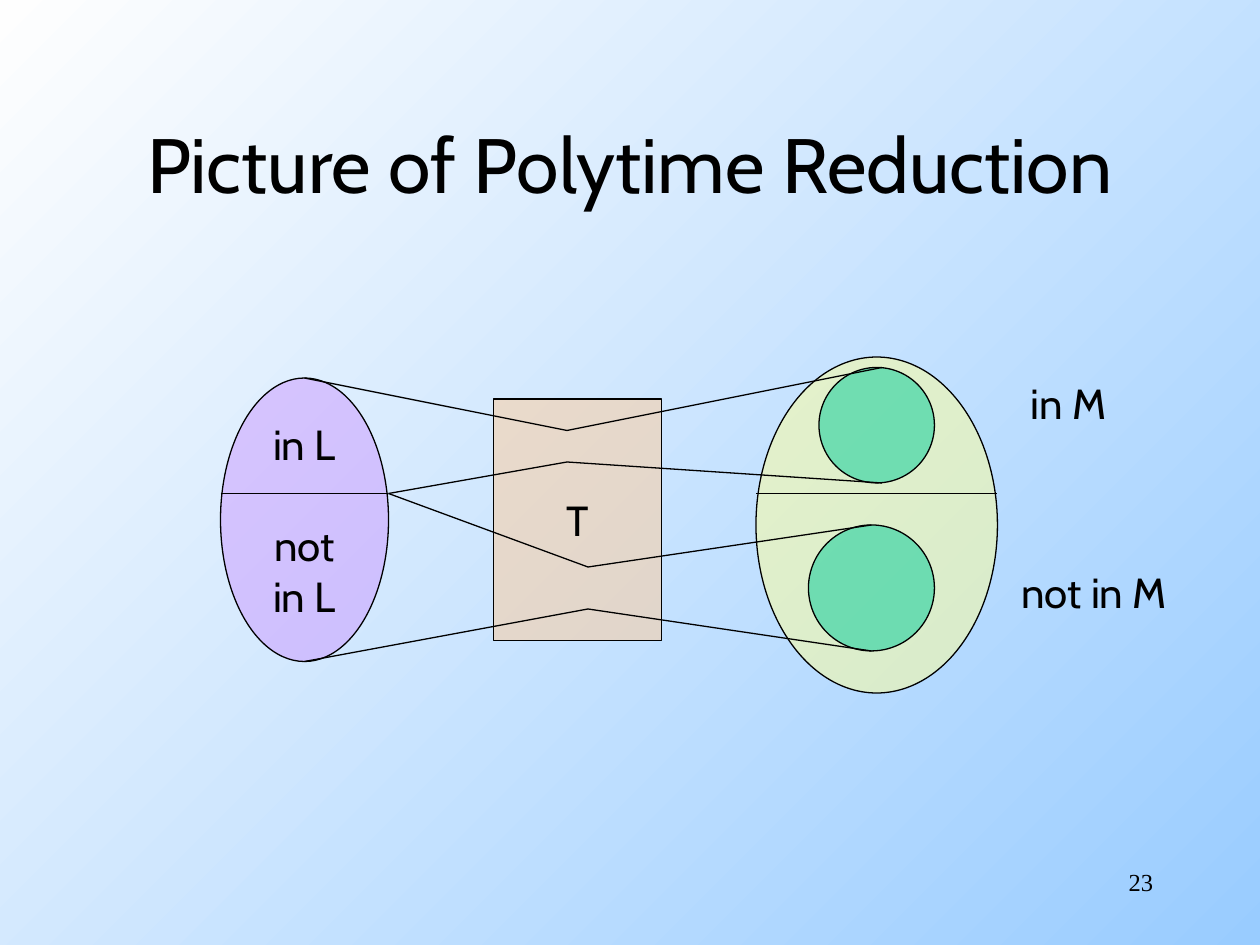
from dataclasses import dataclass
from itertools import pairwise

from lxml.etree import SubElement
from pptx import Presentation
from pptx.dml.color import RGBColor
from pptx.enum.shapes import MSO_CONNECTOR, MSO_SHAPE
from pptx.enum.text import MSO_ANCHOR, PP_ALIGN
from pptx.oxml.ns import qn
from pptx.util import Pt


@dataclass(frozen=True)
class Theme:
    ink: str = "000000"
    sky: str = "99CCFF"
    white: str = "FEFEFE"
    machine: str = "FFCC99"
    source: str = "CC99FF"
    target: str = "FFFF99"
    image: str = "00CC99"
    font: str = "Cabin"
    number_font: str = "Times New Roman"
    title_size: float = 44
    label_size: float = 24
    number_size: float = 14
    line_width: float = 0.75
    opacity: int = 50


@dataclass(frozen=True)
class Box:
    left: float
    top: float
    width: float
    height: float

    @property
    def points(self):
        return [Pt(value) for value in (self.left, self.top, self.width, self.height)]

    def inner(self, left, top, width, height):
        """Return a box placed relative to this one."""
        return Box(self.left + left, self.top + top, width, height)


THEME = Theme()


def write_text(shape, *lines, size=THEME.label_size, font=THEME.font,
               align=PP_ALIGN.CENTER, anchor=MSO_ANCHOR.MIDDLE, wrap=False, gaps=()):
    """Write one paragraph per line; gaps maps line indexes to space before."""
    frame = shape.text_frame
    frame.word_wrap = wrap
    frame.vertical_anchor = anchor
    spaces = dict(gaps)
    for index, line in enumerate(lines):
        para = frame.paragraphs[0] if index == 0 else frame.add_paragraph()
        para.alignment = align
        if index in spaces:
            para.space_before = Pt(spaces[index])
        span = para.add_run()
        span.text = line
        span.font.size = Pt(size)
        span.font.name = font
        span.font.color.rgb = RGBColor.from_string(THEME.ink)


def add_label(page, box, text, **text_format):
    write_text(page.shapes.add_textbox(*box.points), text, **text_format)


def add_outlined(page, kind, box, color):
    """Add a half-transparent shape with a thin outline."""
    shape = page.shapes.add_shape(kind, *box.points)
    shape.shadow.inherit = False
    shape.fill.solid()
    shape.fill.fore_color.rgb = RGBColor.from_string(color)
    color_node = shape.fill._xPr.find(qn("a:solidFill"))[0]
    SubElement(color_node, qn("a:alpha")).set("val", str(THEME.opacity * 1000))
    shape.line.color.rgb = RGBColor.from_string(THEME.ink)
    shape.line.width = Pt(THEME.line_width)
    return shape


def add_lines(page, box, *stops):
    """Join successive stops, given relative to the box, with straight lines."""
    for start, end in pairwise(stops):
        ends = [Pt(value) for x, y in (start, end) for value in (box.left + x, box.top + y)]
        line = page.shapes.add_connector(MSO_CONNECTOR.STRAIGHT, *ends)
        line.line.color.rgb = RGBColor.from_string(THEME.ink)
        line.line.width = Pt(THEME.line_width)
        SubElement(line._element.spPr, qn("a:effectLst"))


def paint_background(page):
    fill = page.background.fill
    fill.gradient()
    fill.gradient_angle = 135
    for stop, color in zip(fill.gradient_stops, (THEME.sky, THEME.white)):
        stop.color.rgb = RGBColor.from_string(color)


def add_machine(page, box):
    machine = add_outlined(page, MSO_SHAPE.RECTANGLE, box, THEME.machine)
    write_text(machine, "T")


def add_source_language(page, box, divider):
    oval = add_outlined(page, MSO_SHAPE.OVAL, box, THEME.source)
    write_text(oval, "in L", "not", "in L", gaps={1: 29})
    add_lines(page, box, (0, divider), (box.width, divider))


def add_target_language(page, box, divider):
    add_outlined(page, MSO_SHAPE.OVAL, box, THEME.target)
    add_lines(page, box, (0, divider), (box.width, divider))
    for left, top, size in ((36, 6, 66), (30, 96, 72)):
        add_outlined(page, MSO_SHAPE.OVAL, box.inner(left, top, size, size), THEME.image)
    add_label(page, box.inner(147, 8.4, 63, 36), "in M", anchor=MSO_ANCHOR.TOP)
    add_label(page, box.inner(139.7, 116.4, 107, 36), "not in M", anchor=MSO_ANCHOR.TOP)


def add_reduction(page, box):
    """Draw both languages, the machine and the paths that map one to the other."""
    add_machine(page, box.inner(156, 24, 96, 138))
    add_source_language(page, box.inner(0, 12, 96, 162), divider=66)
    add_target_language(page, box.inner(306, 0, 138, 192), divider=78)
    top, side, bottom = (48, 12), (96, 78), (48, 174)
    for path in (
        (top, (198, 42), (378, 6)),
        (side, (198, 60), (378, 72)),
        (side, (210, 120), (372, 96)),
        (bottom, (210, 144), (372, 168)),
    ):
        add_lines(page, box, *path)


def build_page(page, box):
    paint_background(page)
    add_label(page, box.inner(54, 48, 612, 90), "Picture of Polytime Reduction",
              size=THEME.title_size, wrap=True)
    add_reduction(page, box.inner(126, 204, 444, 192))
    add_label(page, box.inner(516, 492, 150, 36), "23", size=THEME.number_size,
              font=THEME.number_font, align=PP_ALIGN.RIGHT, anchor=MSO_ANCHOR.TOP, wrap=True)


def main():
    deck = Presentation()
    slide = Box(0, 0, 720, 540)
    deck.slide_width, deck.slide_height = Pt(slide.width), Pt(slide.height)
    page = deck.slides.add_slide(deck.slide_layouts[6])
    build_page(page, slide)
    deck.save("out.pptx")


if __name__ == "__main__":
    main()
